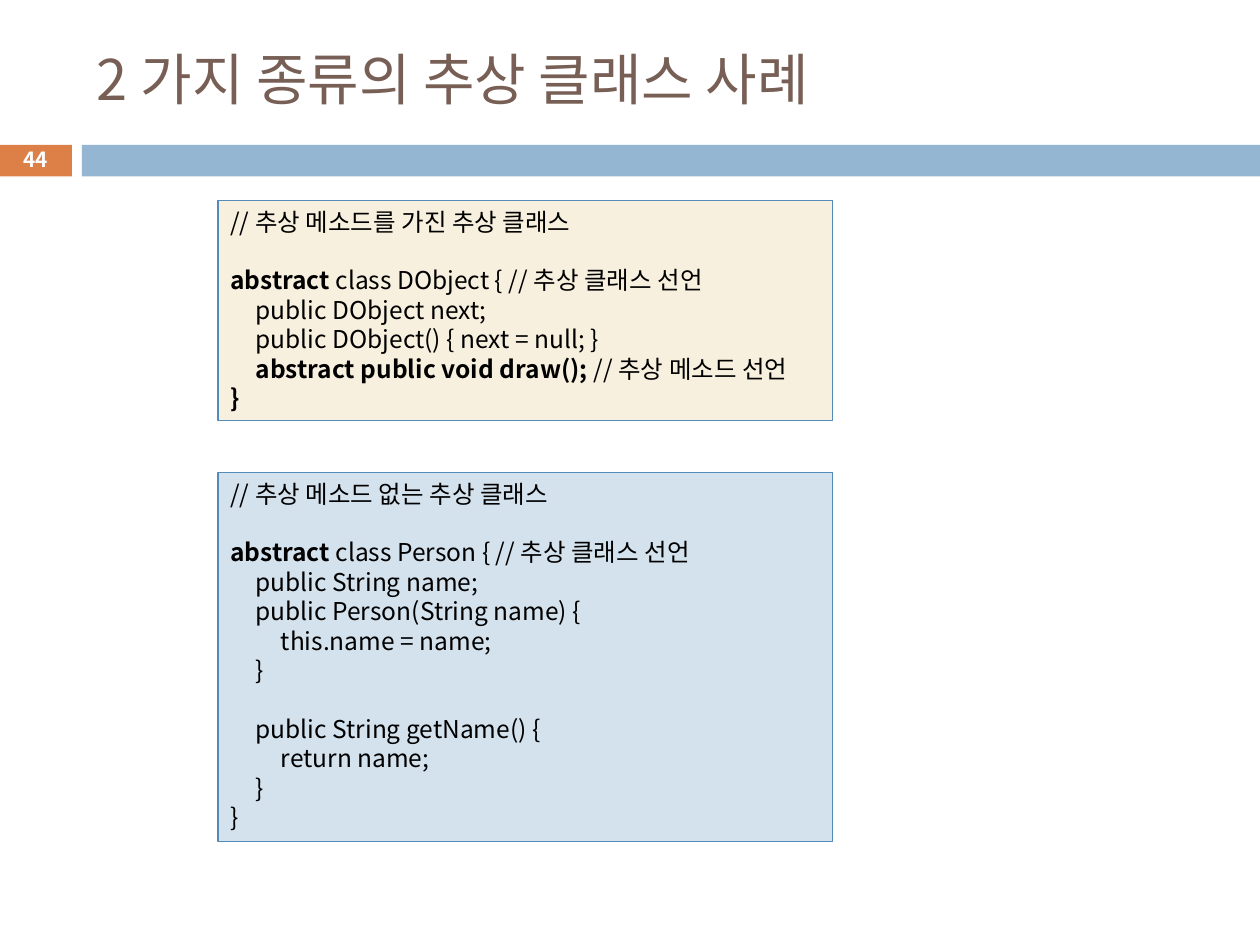
from pptx import Presentation
from pptx.dml.color import RGBColor
from pptx.enum import shapes, text
from pptx.oxml.ns import qn
from pptx.util import Inches, Pt
from lxml import etree

FONT = "Noto Sans CJK KR"
ORANGE = RGBColor(0xDD, 0x80, 0x47)
BLUE = RGBColor(0x94, 0xB6, 0xD2)
BROWN = RGBColor(0x77, 0x5F, 0x55)
CREAM = RGBColor(0xF7, 0xF0, 0xDE)
PALE_BLUE = RGBColor(0xD4, 0xE2, 0xED)
BORDER = RGBColor(0x55, 0x8B, 0xB8)
BLACK = RGBColor(0, 0, 0)
WHITE = RGBColor(0xFF, 0xFF, 0xFF)
LINE_PITCH = Pt(16.8)


def add_box(left, top, width, height, fill):
    box = slide.shapes.add_shape(
        shapes.MSO_SHAPE.RECTANGLE, Inches(left), Inches(top), Inches(width), Inches(height))
    box.shadow.inherit = False
    box.fill.solid()
    box.fill.fore_color.rgb = fill
    box.line.fill.background()
    return box


def add_run(paragraph, words, size, color, bold=False):
    run = paragraph.add_run()
    run.text = words
    run.font.size = Pt(size)
    run.font.bold = bold
    run.font.color.rgb = color
    run.font.name = FONT
    etree.SubElement(run._r.rPr, qn("a:ea"), typeface=FONT)


deck = Presentation()
deck.slide_width, deck.slide_height = Inches(10), Inches(7.5)
slide = deck.slides.add_slide(deck.slide_layouts[6])

add_box(-0.01, 1.15, 0.58, 0.25, ORANGE)
add_box(0.65, 1.15, 9.35, 0.25, BLUE)

title = slide.shapes.add_textbox(Inches(0.67), Inches(0.25), Inches(8.92), Inches(0.74)).text_frame
title.word_wrap = True
title.vertical_anchor = text.MSO_ANCHOR.MIDDLE
add_run(title.paragraphs[0], "2 가지 종류의 추상 클래스 사례", 32, BROWN)

# Each line: indent level, blank lines above, then (words, bold) runs
abstract_method_code = [
    (0, 0, [("// 추상 메소드를 가진 추상 클래스", False)]),
    (0, 1, [("abstract ", True), ("class DObject { // 추상 클래스 선언", False)]),
    (1, 0, [("public DObject next;", False)]),
    (1, 0, [("public DObject() { next = null; }", False)]),
    (1, 0, [("abstract public void draw(); ", True), ("// 추상 메소드 선언", False)]),
    (0, 0, [("}", True)]),
]
no_abstract_method_code = [
    (0, 0, [("// 추상 메소드 없는 추상 클래스", False)]),
    (0, 1, [("abstract ", True), ("class Person { // 추상 클래스 선언", False)]),
    (1, 0, [("public String name;", False)]),
    (1, 0, [("public Person(String name) {", False)]),
    (2, 0, [("this.name = name;", False)]),
    (1, 0, [("}", False)]),
    (1, 1, [("public String getName() {", False)]),
    (2, 0, [("return name;", False)]),
    (1, 0, [("}", False)]),
    (0, 0, [("}", False)]),
]

for top, height, fill, code in [
    (1.59, 1.75, CREAM, abstract_method_code),
    (3.75, 2.93, PALE_BLUE, no_abstract_method_code),
]:
    panel = add_box(1.73, top, 4.88, height, fill)
    panel.line.color.rgb = BORDER
    panel.line.width = Pt(0.75)
    listing = panel.text_frame
    listing.word_wrap = True
    listing.vertical_anchor = text.MSO_ANCHOR.TOP
    for number, (level, blanks, runs) in enumerate(code):
        line = listing.add_paragraph() if number else listing.paragraphs[0]
        line.alignment = text.PP_ALIGN.LEFT
        line.line_spacing = LINE_PITCH
        line.space_before = blanks * LINE_PITCH
        line._p.get_or_add_pPr().set("marL", str(Inches(0.2 * level)))
        for words, bold in runs:
            add_run(line, words, 14, BLACK, bold)

page = slide.shapes.add_textbox(Inches(-0.01), Inches(1.13), Inches(0.58), Inches(0.27)).text_frame
page.word_wrap = True
page.vertical_anchor = text.MSO_ANCHOR.MIDDLE
page.paragraphs[0].alignment = text.PP_ALIGN.CENTER
add_run(page.paragraphs[0], "44", 11.9, WHITE, True)

deck.save("out.pptx")
